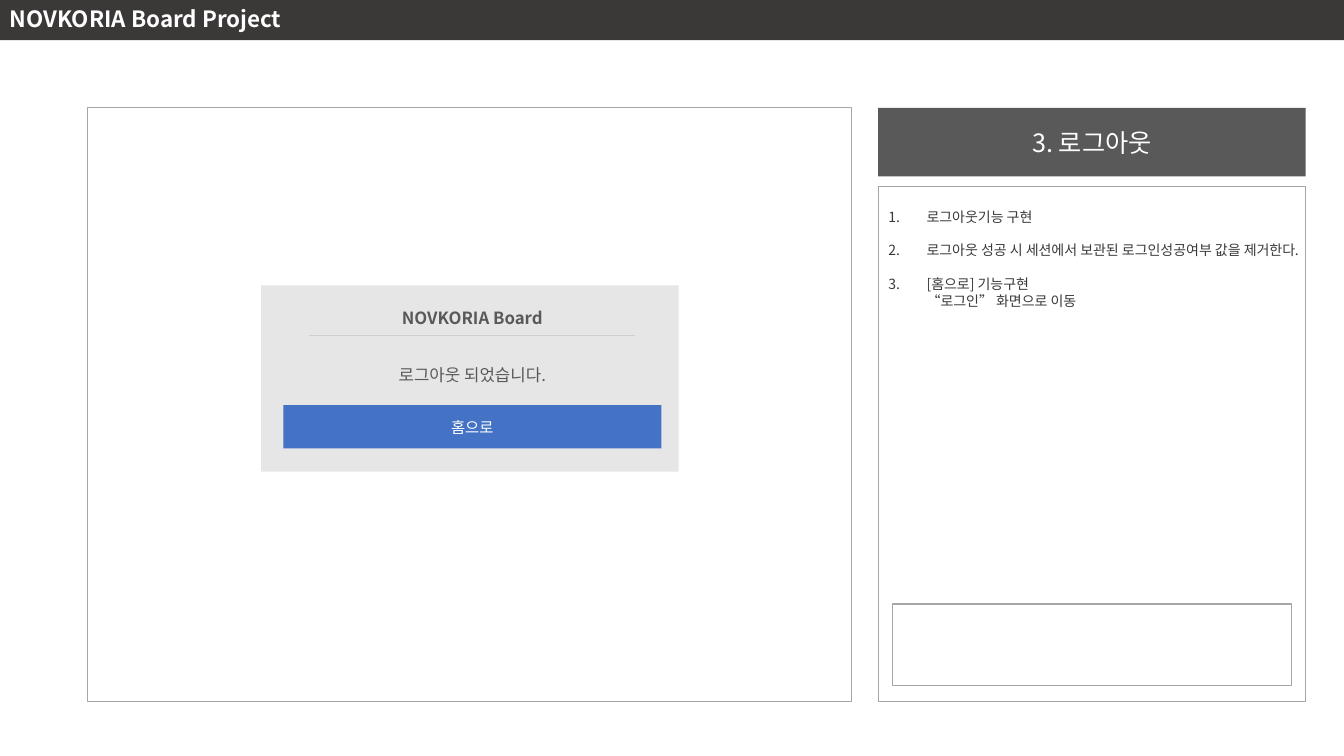
"""Build the logout screen specification slide of a board project."""
from lxml import etree
from pptx import Presentation
from pptx.dml.color import RGBColor
from pptx.enum.shapes import MSO_CONNECTOR, MSO_SHAPE
from pptx.enum.text import MSO_ANCHOR, MSO_AUTO_SIZE, PP_ALIGN
from pptx.oxml.ns import qn
from pptx.util import Inches, Pt

RECTANGLE = MSO_SHAPE.RECTANGLE
STRAIGHT = MSO_CONNECTOR.STRAIGHT
MIDDLE, TOP = MSO_ANCHOR.MIDDLE, MSO_ANCHOR.TOP
LEFT, CENTER = PP_ALIGN.LEFT, PP_ALIGN.CENTER
NO_AUTOFIT = MSO_AUTO_SIZE.NONE

HEADER = "NOVKORIA Board Project"
SCREEN_TITLE = "3. 로그아웃"
REQUIREMENTS = [
    "로그아웃기능 구현",
    "로그아웃 성공 시 세션에서 보관된 로그인성공여부 값을 제거한다.",
    "[홈으로] 기능구현\v“로그인” 화면으로 이동",
]
DIALOG_TITLE = "NOVKORIA Board"
DIALOG_MESSAGE = "로그아웃 되었습니다."
DIALOG_BUTTON = "홈으로"

FONT = "Noto Sans CJK KR"
COLORS = {
    "white": "FFFFFF", "ink": "3B3838", "gray": "595959", "border": "A6A6A6",
    "dialog": "E7E6E6", "rule": "D0CECE", "button": "4472C4",
}
WIDTH, HEIGHT = 13.33, 7.5
PANEL_TOP, PANEL_BOTTOM = 1.07, 6.96
SIDE_LEFT, SIDE_WIDTH = 8.71, 4.24
LIST_TOP = 1.85
NOTE_MARGIN = 0.14
DIALOG_LEFT, DIALOG_TOP = 2.59, 2.83
FIELD_LEFT, FIELD_WIDTH = DIALOG_LEFT + 0.22, 3.75
LINE_PITCH, LIST_INDENT = 12, 0.38


def color(name):
    return RGBColor.from_string(COLORS[name])


def place(shape, left, top, width, height):
    bounds = {"left": left, "top": top, "width": width, "height": height}
    for name, value in bounds.items():
        setattr(shape, name, Inches(value))


def paint(shape, fill, border=None, weight=0.5):
    shape.fill.solid()
    shape.fill.fore_color.rgb = color(fill)
    if border:
        shape.line.color.rgb = color(border)
        shape.line.width = Pt(weight)
    else:
        shape.line.fill.background()


def write(shape, lines, size, ink, bold=False, align=CENTER, anchor=MIDDLE):
    frame = shape.text_frame
    frame_format = {
        "word_wrap": True, "auto_size": NO_AUTOFIT, "vertical_anchor": anchor,
        "margin_left": Inches(0.1), "margin_right": Inches(0.1),
        "margin_top": Inches(0.05), "margin_bottom": Inches(0.05),
    }
    for name, value in frame_format.items():
        setattr(frame, name, value)
    frame.text = "\n".join(lines)
    font_format = {"name": FONT, "size": Pt(size), "bold": bold}
    for para in frame.paragraphs:
        para.alignment = align
        para.space_before = Pt(0)
        for span in para.runs:
            for name, value in font_format.items():
                setattr(span.font, name, value)
            span.font.color.rgb = color(ink)
            east_asian = etree.SubElement(span.font._element, qn("a:ea"))
            east_asian.set("typeface", FONT)


def number(frame):
    frame.margin_top = Inches(0.05) + Pt(LINE_PITCH)
    for para in frame.paragraphs:
        para.line_spacing = Pt(LINE_PITCH)
        para.space_after = Pt(LINE_PITCH)
        properties = para._p.get_or_add_pPr()
        properties.set("marL", str(Inches(LIST_INDENT)))
        properties.set("indent", str(-Inches(LIST_INDENT)))
        bullet_font = etree.SubElement(properties, qn("a:buFont"))
        bullet_font.set("typeface", FONT)
        bullet = etree.SubElement(properties, qn("a:buAutoNum"))
        bullet.set("type", "arabicPeriod")


def add_box(shapes, bounds, fill, border=None, weight=0.5):
    box = shapes.add_shape(RECTANGLE, 0, 0, 0, 0)
    place(box, *bounds)
    box.shadow.inherit = False
    paint(box, fill, border, weight)
    return box


def add_label(shapes, bounds, text, bold=False):
    label = shapes.add_textbox(0, 0, 0, 0)
    place(label, *bounds)
    write(label, [text], 12, "gray", bold, anchor=TOP)


def add_dialog(page):
    shapes = page.shapes.add_group_shape().shapes
    add_box(shapes, (DIALOG_LEFT, DIALOG_TOP, 4.14, 1.85), "dialog")
    add_label(shapes, (FIELD_LEFT, 3.57, FIELD_WIDTH, 0.3), DIALOG_MESSAGE)
    button = add_box(shapes, (FIELD_LEFT, 4.02, FIELD_WIDTH, 0.43), "button")
    write(button, [DIALOG_BUTTON], 11, "white")
    add_label(shapes, (2.86, 3, 3.65, 0.32), DIALOG_TITLE, True)
    ends = [Inches(value) for value in (3.06, 3.33, 6.3, 3.33)]
    rule = shapes.add_connector(STRAIGHT, *ends)
    rule.line.color.rgb = color("rule")
    rule.line.width = Pt(0.5)
    etree.SubElement(rule._element.spPr, qn("a:effectLst"))


def main():
    deck = Presentation()
    deck.slide_width, deck.slide_height = Inches(WIDTH), Inches(HEIGHT)
    page = deck.slides.add_slide(deck.slide_layouts[1])
    title, body = page.placeholders

    screen = (0.87, PANEL_TOP, 7.58, PANEL_BOTTOM - PANEL_TOP)
    add_box(page.shapes, screen, "white", "border", 0.75)
    add_dialog(page)
    header = add_box(page.shapes, (0, -0.03, WIDTH, 0.43), "ink")
    write(header, [HEADER], 16, "white", True, LEFT)

    place(title, SIDE_LEFT, PANEL_TOP, SIDE_WIDTH, 0.68)
    paint(title, "gray")
    write(title, [SCREEN_TITLE], 18, "white")

    place(body, SIDE_LEFT, LIST_TOP, SIDE_WIDTH, PANEL_BOTTOM - LIST_TOP)
    paint(body, "white", "border")
    write(body, REQUIREMENTS, 10, "ink", align=LEFT, anchor=TOP)
    number(body.text_frame)

    note = (SIDE_LEFT + NOTE_MARGIN, 5.99, SIDE_WIDTH - 2 * NOTE_MARGIN, 0.81)
    add_box(page.shapes, note, "white", "border", 1)
    deck.save("out.pptx")


if __name__ == "__main__":
    main()
